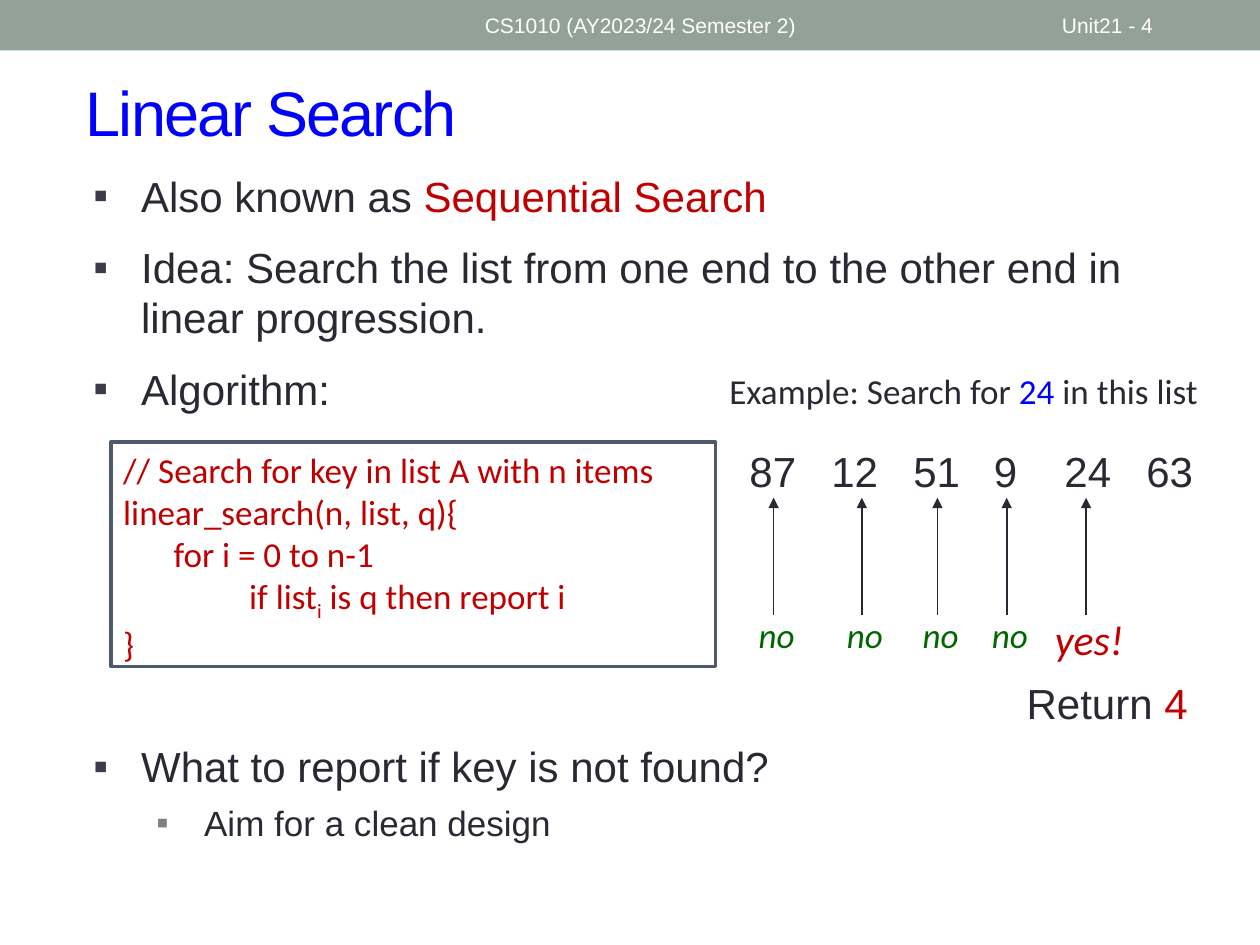
from lxml import etree
from pptx import Presentation
from pptx.dml.color import RGBColor
from pptx.enum.shapes import MSO_CONNECTOR, MSO_SHAPE
from pptx.enum.text import MSO_ANCHOR, MSO_AUTO_SIZE, PP_ALIGN
from pptx.oxml.ns import qn
from pptx.util import Pt

PX = 9144  # 100 px to the inch
INK = RGBColor(0x29, 0x29, 0x34)
BLUE = RGBColor(0x00, 0x00, 0xFF)
RED = RGBColor(0xC0, 0x00, 0x00)
GREEN = RGBColor(0x00, 0x66, 0x00)
SAGE = RGBColor(0x93, 0xA2, 0x99)
SLATE = RGBColor(0x4C, 0x5A, 0x6A)
WHITE = RGBColor(0xFF, 0xFF, 0xFF)
DARK = RGBColor(0x3B, 0x3B, 0x4B)
GREY = RGBColor(0x80, 0x80, 0x80)


def emu(*nums):
    return [n * PX for n in nums]


def place(shape, box):
    shape.left, shape.top, shape.width, shape.height = emu(*box)


def write(para, parts, size, font="Arial", italic=None):
    """Fill a paragraph with (text, colour) parts."""
    for text, color in parts:
        run = para.add_run()
        run.text = text
        run.font.size = Pt(size)
        run.font.name = font
        run.font.italic = italic
        run.font.color.rgb = color
    return para


def set_frame(frame, anchor=MSO_ANCHOR.TOP):
    frame.word_wrap = True
    frame.auto_size = MSO_AUTO_SIZE.NONE
    frame.vertical_anchor = anchor


def add_text(shapes, box, parts, size, font="Arial", italic=None,
             align=PP_ALIGN.LEFT, anchor=MSO_ANCHOR.TOP):
    frame = shapes.add_textbox(*emu(*box)).text_frame
    set_frame(frame, anchor)
    para = write(frame.paragraphs[0], parts, size, font, italic)
    para.alignment = align
    return para


def add_tabs(para, stops):
    tabs = etree.SubElement(para._p.get_or_add_pPr(), qn("a:tabLst"))
    for stop in stops:
        etree.SubElement(tabs, qn("a:tab"), pos=str(stop * PX), algn="l")


def add_bullet(para, indent, color):
    props = para._p.get_or_add_pPr()
    props.set("marL", str(indent * PX))
    props.set("indent", str(-38 * PX))
    tint = etree.SubElement(props, qn("a:buClr"))
    etree.SubElement(tint, qn("a:srgbClr"), val=str(color))
    etree.SubElement(props, qn("a:buFont"), typeface="Arial")
    etree.SubElement(props, qn("a:buChar"), char="▪")


def add_header(slide, box):
    left, top, width, height = box
    bar = slide.shapes.add_shape(MSO_SHAPE.RECTANGLE, *emu(*box))
    bar.shadow.inherit = False
    bar.fill.solid()
    bar.fill.fore_color.rgb = SAGE
    bar.line.fill.background()
    for x, w, text in ((375, 450, "CS1010 (AY2023/24 Semester 2)"),
                       (833, 117, "Unit21 - 4")):
        add_text(slide.shapes, (left + x, top + 2, w, height - 4),
                 [(text, WHITE)], 12, anchor=MSO_ANCHOR.MIDDLE)


def add_title(slide, box, text):
    title = slide.shapes.title
    place(title, box)
    set_frame(title.text_frame, MSO_ANCHOR.MIDDLE)
    para = write(title.text_frame.paragraphs[0], [(text, BLUE)], 36)
    para.alignment = PP_ALIGN.LEFT
    para.runs[0]._r.get_or_add_rPr().set("spc", "-100")


def add_list(holder, box, items):
    """Fill a body placeholder with (level, parts) items."""
    place(holder, box)
    frame = holder.text_frame
    set_frame(frame)
    for i, (level, parts) in enumerate(items):
        para = frame.add_paragraph() if i else frame.paragraphs[0]
        size, space, indent, color = ((24, 12, 38, DARK),
                                      (20, 6, 88, GREY))[level]
        write(para, parts, size)
        para.level = level
        para.space_before = Pt(space)
        add_bullet(para, indent, color)


def add_code(slide, box):
    shape = slide.shapes.add_shape(MSO_SHAPE.RECTANGLE, *emu(*box))
    shape.shadow.inherit = False
    shape.fill.solid()
    shape.fill.fore_color.rgb = WHITE
    shape.line.color.rgb = SLATE
    shape.line.width = Pt(2.08)
    frame = shape.text_frame
    set_frame(frame)
    lines = (["// Search for key in list A with n items"],
             ["linear_search(n, list, q){"],
             ["\tfor i = 0 to n-1"],
             ["\t\tif list", "i", " is q then report i"],
             ["}"])
    for i, line in enumerate(lines):
        para = frame.add_paragraph() if i else frame.paragraphs[0]
        write(para, [(text, RED) for text in line], 20, "Calibri")
        para.alignment = PP_ALIGN.LEFT
        add_tabs(para, (40, 100))
        if len(line) > 1:  # subscript index
            para.runs[1]._r.get_or_add_rPr().set("baseline", "-25000")


def add_step(slide, x, top, label, color, size):
    """An upward arrow with its verdict below."""
    shapes = slide.shapes.add_group_shape().shapes
    arrow = shapes.add_connector(MSO_CONNECTOR.STRAIGHT,
                                 *emu(x, top + 93, x, top))
    arrow.line.color.rgb = INK
    arrow.line.width = Pt(1)
    etree.SubElement(arrow.line._get_or_add_ln(), qn("a:tailEnd"),
                     type="triangle")
    etree.SubElement(arrow._element.spPr, qn("a:effectLst"))
    add_text(shapes, (x - 39, top + 87, 83, 2 * size + 3), [(label, color)],
             size, "Calibri", True, PP_ALIGN.CENTER)


def add_example(slide, box):
    left, top, width, height = box
    shapes = slide.shapes
    add_text(shapes, (left, top, width, 44),
             [("Example: Search for ", INK), ("24", BLUE),
              (" in this list", INK)], 20, "Calibri")
    nums = add_text(shapes, (left + 16, top + 61, 386, 51),
                    [("87\t12\t51\t9\t24\t63", INK)], 24)
    add_tabs(nums, (65, 130, 194, 250, 315))
    for x in (45, 115, 175, 230):
        add_step(slide, left + x, top + 107, "no", GREEN, 20)
    add_step(slide, left + 293, top + 107, "yes!", RED, 24)
    add_text(shapes, (left + 236, top + height - 50, 166, 50),
             [("Return ", INK), ("4", RED)], 24)


def main():
    deck = Presentation()
    deck.slide_width, deck.slide_height = emu(1000, 750)
    slide = deck.slides.add_slide(deck.slide_layouts[3])
    upper, lower = list(slide.placeholders)[1:3]
    add_header(slide, (0, 0, 1000, 40))
    add_title(slide, (58, 42, 917, 92), "Linear Search")
    add_list(upper, (64, 130, 900, 221), [
        (0, [("Also known as ", INK), ("Sequential Search", RED)]),
        (0, [("Idea: Search the list from one end to the other end in "
              "linear progression.", INK)]),
        (0, [("Algorithm:", INK)])])
    add_code(slide, (88, 351, 480, 178))
    add_example(slide, (569, 288, 421, 295))
    add_list(lower, (64, 583, 900, 111), [
        (0, [("What to report if key is not found?", INK)]),
        (1, [("Aim for a clean design", INK)])])
    deck.save("out.pptx")


if __name__ == "__main__":
    main()
